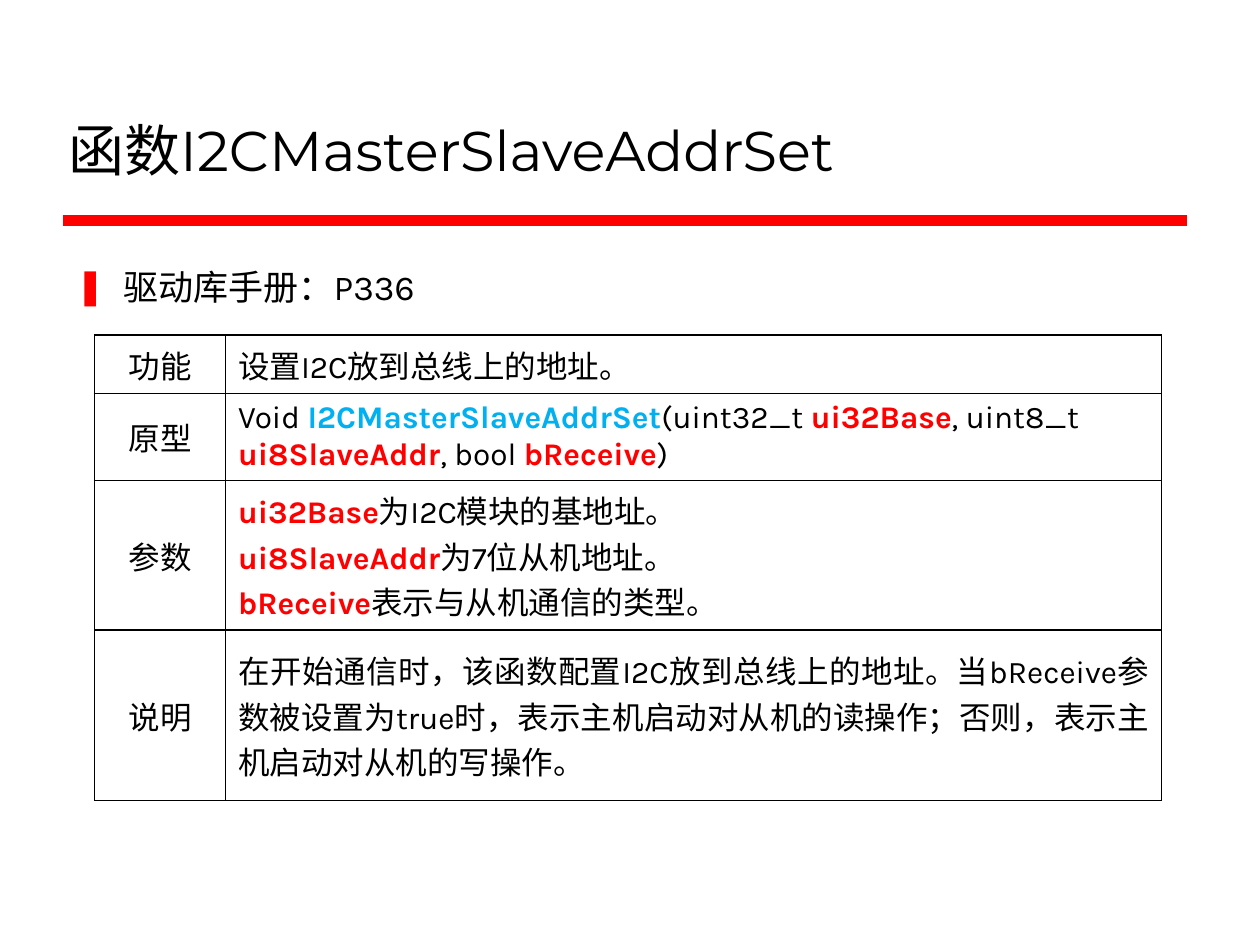
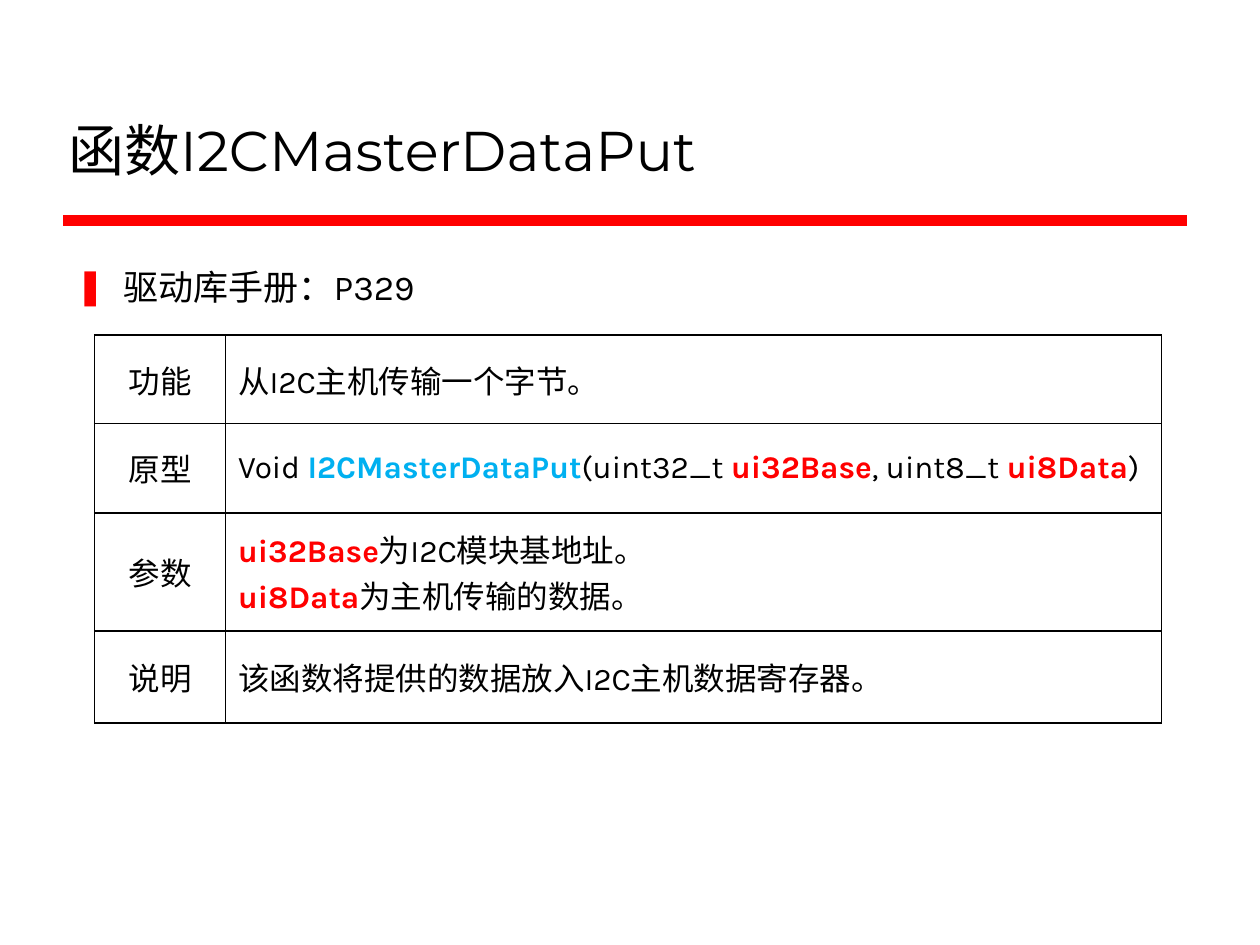
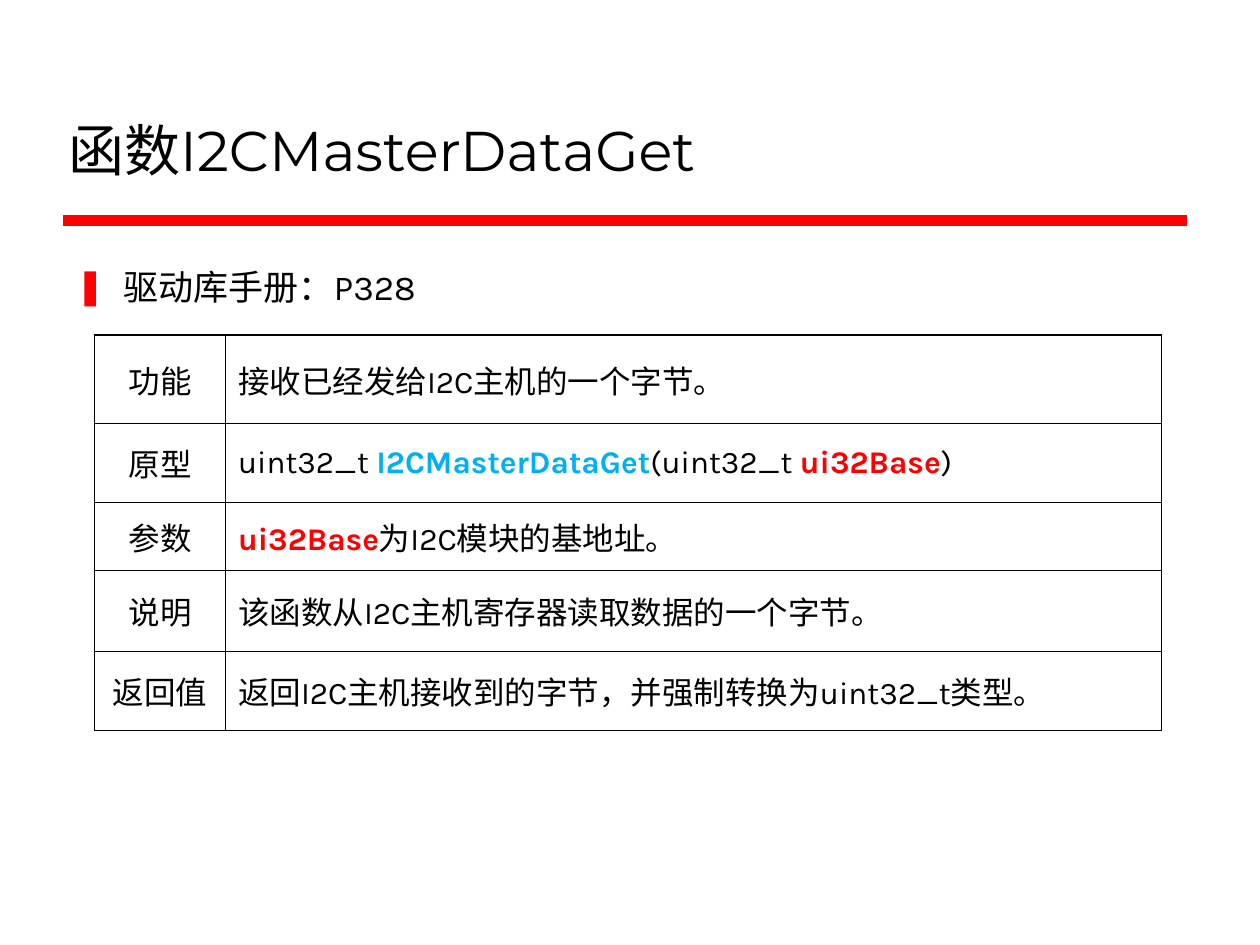
from lxml.etree import SubElement
from pptx import Presentation
from pptx.dml.color import RGBColor
from pptx.enum.lang import MSO_LANGUAGE_ID
from pptx.enum.shapes import MSO_CONNECTOR
from pptx.enum.text import MSO_ANCHOR, MSO_AUTO_SIZE, PP_ALIGN
from pptx.oxml.ns import qn
from pptx.util import Inches, Pt

# Shared style
BLACK, RED, BLUE = "000000", "FF0000", "00B0F0"
TITLE_FONT, BODY_FONT = "Montserrat", "Karla"
TITLE_BOX = (0.44, 0.25, 8.97, 1.25)
BODY_BOX = (0.5, 2.06, 8.94, 4.56)
RULE_LEFT, RULE_RIGHT, RULE_Y = 0.5, 9.42, 1.75
TABLE_LEFT, TABLE_TOP = 0.75, 2.66
COLUMNS = (1.04, 7.43)

# Function name, manual page, rows of (label, height, lines);
# bars enclose the identifiers to highlight
FUNCTIONS = [
    ("I2CMasterSlaveAddrSet", "P336", [
        ("功能", 0.46, ["设置I2C放到总线上的地址。"]),
        ("原型", 0.69, ["Void |I2CMasterSlaveAddrSet|(uint32_t |ui32Base|, uint8_t "
                      "|ui8SlaveAddr|, bool |bReceive|)"]),
        ("参数", 1.19, ["|ui32Base|为I2C模块的基地址。",
                      "|ui8SlaveAddr|为7位从机地址。",
                      "|bReceive|表示与从机通信的类型。"]),
        ("说明", 1.35, ["在开始通信时，该函数配置I2C放到总线上的地址。当bReceive参数被设置为"
                      "true时，表示主机启动对从机的读操作；否则，表示主机启动对从机的写操作。"]),
    ]),
    ("I2CMasterDataPut", "P329", [
        ("功能", 0.7, ["从I2C主机传输一个字节。"]),
        ("原型", 0.71, ["Void |I2CMasterDataPut|(uint32_t |ui32Base|, uint8_t |ui8Data|)"]),
        ("参数", 0.94, ["|ui32Base|为I2C模块基地址。", "|ui8Data|为主机传输的数据。"]),
        ("说明", 0.73, ["该函数将提供的数据放入I2C主机数据寄存器。"]),
    ]),
    ("I2CMasterDataGet", "P328", [
        ("功能", 0.7, ["接收已经发给I2C主机的一个字节。"]),
        ("原型", 0.63, ["uint32_t |I2CMasterDataGet|(uint32_t |ui32Base|)"]),
        ("参数", 0.54, ["|ui32Base|为I2C模块的基地址。"]),
        ("说明", 0.64, ["该函数从I2C主机寄存器读取数据的一个字节。"]),
        ("返回值", 0.63, ["返回I2C主机接收到的字节，并强制转换为uint32_t类型。"]),
    ]),
]


def rgb(color):
    return RGBColor.from_string(color)


def style_run(r, size, font=BODY_FONT, color=BLACK, bold=False):
    r.font.size = Pt(size)
    r.font.name = font
    r.font.bold = bold
    r.font.color.rgb = rgb(color)
    r.font.language_id = MSO_LANGUAGE_ID.SIMPLIFIED_CHINESE


def fill_placeholder(sp, box, text, size, font, anchor):
    sp.left, sp.top, sp.width, sp.height = map(Inches, box)
    tf = sp.text_frame
    tf.text = text
    tf.auto_size = MSO_AUTO_SIZE.NONE
    tf.vertical_anchor = anchor
    p = tf.paragraphs[0]
    p.alignment = PP_ALIGN.LEFT
    style_run(p.runs[0], size, font)
    return p


def add_bullet(p):
    pPr = p._p.get_or_add_pPr()
    pPr.set("marL", str(Inches(0.38)))
    pPr.set("indent", str(-Inches(0.38)))
    SubElement(SubElement(pPr, qn("a:buClr")), qn("a:srgbClr"), val=RED)
    SubElement(pPr, qn("a:buChar"), char="❚")


def add_rule(s):
    line = s.shapes.add_connector(MSO_CONNECTOR.STRAIGHT, Inches(RULE_LEFT), Inches(RULE_Y),
                                  Inches(RULE_RIGHT), Inches(RULE_Y))
    line.line.color.rgb = rgb(RED)
    line.line.width = Pt(6)
    SubElement(line._element.spPr, qn("a:effectLst"))


def format_cell(cell):
    tcPr = cell._tc.get_or_add_tcPr()
    for side in ("lnL", "lnR", "lnT", "lnB"):
        ln = SubElement(tcPr, qn(f"a:{side}"), w=str(Pt(1)))
        SubElement(SubElement(ln, qn("a:solidFill")), qn("a:srgbClr"), val=BLACK)
    cell.fill.background()
    cell.vertical_anchor = MSO_ANCHOR.MIDDLE


def write_cell(cell, lines, name, align):
    format_cell(cell)
    tf = cell.text_frame
    for i, line in enumerate(lines):
        p = tf.add_paragraph() if i else tf.paragraphs[0]
        p.alignment = align
        for j, part in enumerate(line.split("|")):
            if not part:
                continue
            r = p.add_run()
            r.text = part
            marked = j % 2 == 1
            color = (BLUE if part == name else RED) if marked else BLACK
            style_run(r, 18, color=color, bold=marked)


def add_function_table(s, name, rows):
    height = sum(row[1] for row in rows)
    table = s.shapes.add_table(len(rows), len(COLUMNS), Inches(TABLE_LEFT), Inches(TABLE_TOP),
                               Inches(sum(COLUMNS)), Inches(height)).table
    table.first_row = table.horz_banding = False
    for column, width in zip(table.columns, COLUMNS):
        column.width = Inches(width)
    for i, (label, row_height, lines) in enumerate(rows):
        table.rows[i].height = Inches(row_height)
        write_cell(table.cell(i, 0), [label], name, PP_ALIGN.CENTER)
        align = PP_ALIGN.JUSTIFY if label in ("说明", "返回值") else PP_ALIGN.LEFT
        write_cell(table.cell(i, 1), lines, name, align)


def add_function_slide(prs, name, page, rows):
    s = prs.slides.add_slide(prs.slide_layouts[1])
    add_rule(s)
    fill_placeholder(s.shapes.title, TITLE_BOX, f"函数{name}", 32, TITLE_FONT, MSO_ANCHOR.BOTTOM)
    p = fill_placeholder(s.placeholders[1], BODY_BOX, f"驱动库手册：{page}", 20, BODY_FONT,
                         MSO_ANCHOR.TOP)
    add_bullet(p)
    add_function_table(s, name, rows)


def main():
    prs = Presentation()
    prs.slide_width, prs.slide_height = Inches(10), Inches(7.5)
    for name, page, rows in FUNCTIONS:
        add_function_slide(prs, name, page, rows)
    prs.save("out.pptx")


if __name__ == "__main__":
    main()
